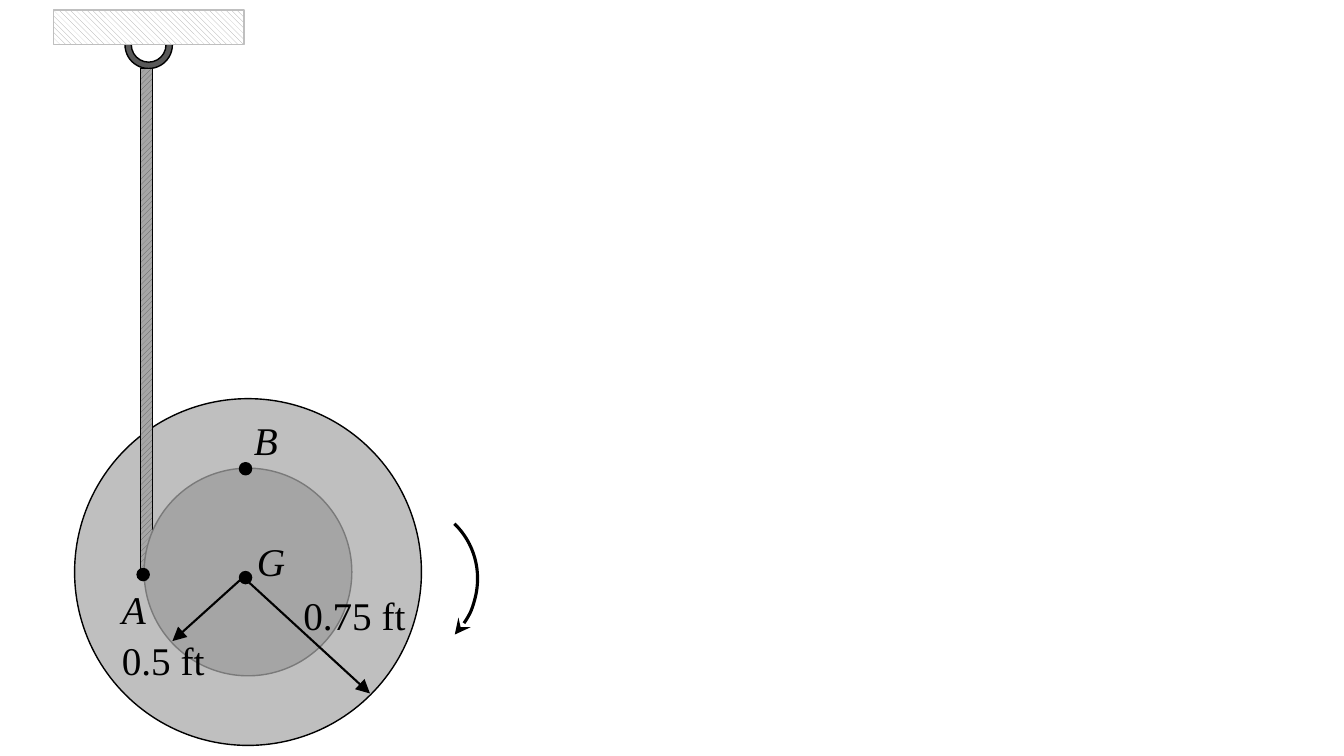
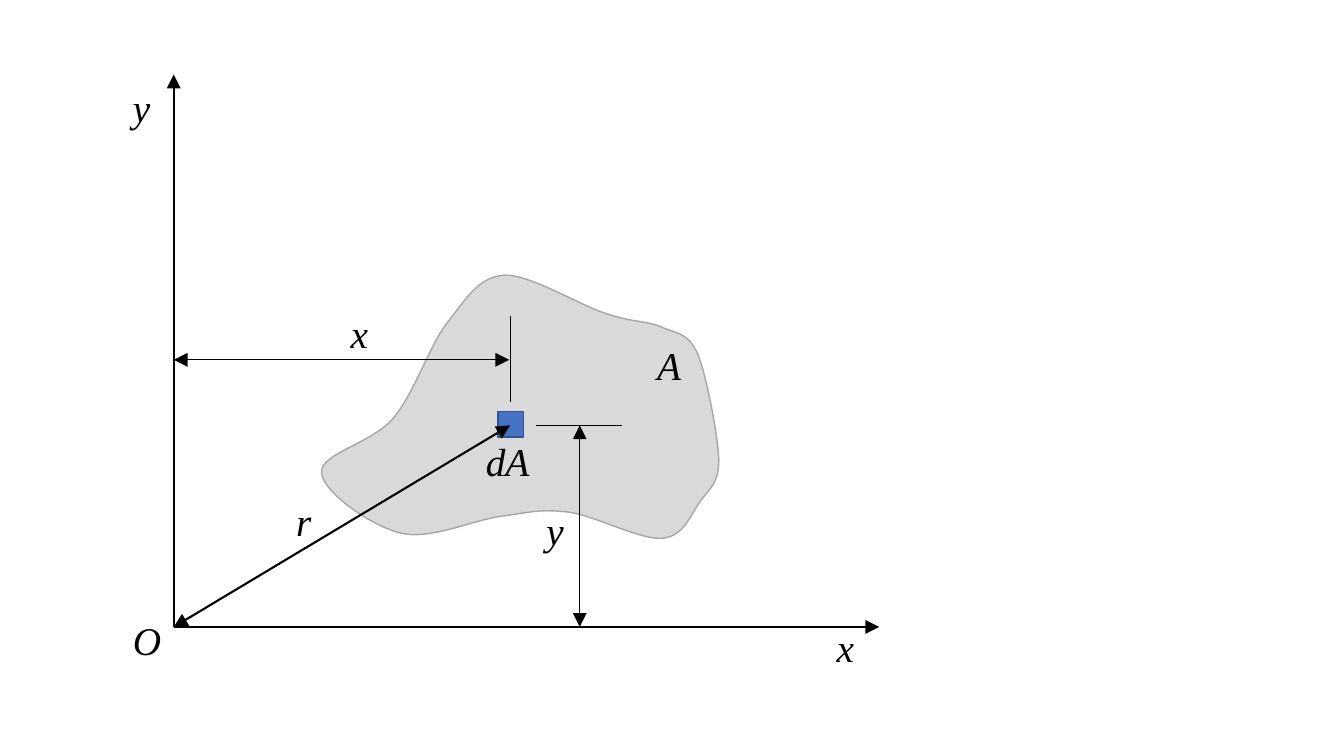
import dataclasses

import pptx
import pptx.dml.color
import pptx.enum.dml
import pptx.enum.shapes
import pptx.oxml.ns
import pptx.oxml.xmlchemy
import pptx.util

KIND = pptx.enum.shapes.MSO_SHAPE
HATCH = pptx.enum.dml.MSO_PATTERN


@dataclasses.dataclass(frozen=True)
class Theme:
    font: str = "Times New Roman"
    size: float = 28
    ink: str = "000000"
    paper: str = "FFFFFF"
    wheel: str = "BFBFBF"
    hub: str = "A5A5A5"
    rim: str = "7A7A7A"
    iron: str = "595959"
    rope: str = "A6A6A6"
    area: str = "D9D9D9"
    patch: str = "4472C4"
    edge: str = "325491"
    hair: float = 0.5
    thin: float = 1
    bold: float = 1.5
    heavy: float = 2.25


T = Theme()


# Grid: square cells, ten to the inch
def cell(count):
    return pptx.util.Inches(count / 10)


def tint(code):
    return pptx.dml.color.RGBColor.from_string(code)


# Lines
def stroke(shape, color, width, head=None, tail=None):
    shape.line.color.rgb = tint(color)
    shape.line.width = pptx.util.Pt(width)
    line = shape.element.spPr.find(pptx.oxml.ns.qn("a:ln"))
    for tag, kind in (("a:headEnd", head), ("a:tailEnd", tail)):
        if kind:
            end = pptx.oxml.xmlchemy.OxmlElement(tag)
            for key, value in (("type", kind), ("w", "lg"), ("len", "lg")):
                end.set(key, value)
            line.append(end)


def link(shapes, start, stop, width, head=None, tail=None):
    line = shapes.add_connector(
        pptx.enum.shapes.MSO_CONNECTOR.STRAIGHT,
        *(cell(n) for n in (*start, *stop)))
    stroke(line, T.ink, width, head, tail)
    line.element.spPr.append(pptx.oxml.xmlchemy.OxmlElement("a:effectLst"))


def arrow(shapes, start, stop, width=T.bold):
    link(shapes, start, stop, width, tail="triangle")


def span(shapes, start, stop, width=T.hair):
    link(shapes, start, stop, width, "triangle", "triangle")


# Filled shapes
def paint(shape, fill, edge):
    shape.shadow.inherit = False
    if fill:
        shape.fill.solid()
        shape.fill.fore_color.rgb = tint(fill)
    else:
        shape.fill.background()
    stroke(shape, edge, T.thin)


def block(shapes, kind, box, fill, edge=T.ink):
    shape = shapes.add_shape(kind, *(cell(n) for n in box))
    paint(shape, fill, edge)
    return shape


def round_box(mid, radius):
    return mid[0] - radius, mid[1] - radius, 2 * radius, 2 * radius


def disc(shapes, mid, radius, fill, edge=T.ink):
    return block(shapes, KIND.OVAL, round_box(mid, radius), fill, edge)


def hatch(shapes, box, kind, fore, back, edge):
    shape = block(shapes, KIND.RECTANGLE, box, back, edge)
    shape.fill.patterned()
    shape.fill.pattern = kind
    shape.fill.fore_color.rgb = tint(fore)
    shape.fill.back_color.rgb = tint(back)


def blob(shapes, start, curves, fill, edge):
    """Closed outline of cubic curves, each (control, control, end)."""
    dots = [(cell(x), cell(y)) for curve in curves for x, y in curve]
    pen = shapes.build_freeform(cell(start[0]), cell(start[1]))
    pen.add_line_segments(dots, close=True)
    shape = pen.convert_to_shape()
    # Every three straight steps become one cubic curve
    name = pptx.oxml.ns.qn
    steps = list(shape.element.spPr.iter(name("a:lnTo")))
    for first in range(0, len(steps), 3):
        bend = pptx.oxml.xmlchemy.OxmlElement("a:cubicBezTo")
        steps[first].addprevious(bend)
        for step in steps[first:first + 3]:
            bend.append(step.find(name("a:pt")))
            step.getparent().remove(step)
    paint(shape, fill, edge)


# Text
def label(shapes, text, left, top, width=5, italic=True):
    box = shapes.add_textbox(cell(left), cell(top), cell(width), cell(4.8))
    box.text_frame.word_wrap = True
    run = box.text_frame.paragraphs[0].add_run()
    run.text = text
    run.font.name = T.font
    run.font.size = pptx.util.Pt(T.size)
    run.font.italic = italic
    run.font.color.rgb = tint(T.ink)


def point(shapes, name, mid, left, top):
    group = shapes.add_group_shape().shapes
    label(group, name, left, top)
    disc(group, mid, 0.6, T.ink)


# Slide 1: spool hanging from a rope
def spool(shapes):
    mid = (24.6, 56.75)
    disc(shapes, mid, 17.2, T.wheel)

    # Support and rope
    ring = block(shapes, KIND.DONUT, round_box((14.75, 4.45), 2.35), T.iron)
    ring.adjustments[0] = 0.134
    hatch(shapes, (5.3, 1, 18.9, 3.4), HATCH.WIDE_DOWNWARD_DIAGONAL,
          T.hub, T.paper, T.wheel)
    hatch(shapes, (13.95, 6.8, 1.2, 49.7), HATCH.WIDE_UPWARD_DIAGONAL,
          T.iron, T.rope, T.ink)

    # Hub and marked points
    disc(shapes, mid, 10.3, T.hub, T.rim)
    for name, spot, left, top in (("A", (14.2, 57), 11.1, 57.6),
                                  ("G", (24.35, 57.3), 24.5, 52.8),
                                  ("B", (24.35, 46.5), 24.2, 40.8)):
        point(shapes, name, spot, left, top)

    # Sense of rotation
    turn = block(shapes, KIND.ARC, (31.7, 50, 15.8, 15.3), None)
    turn.rotation = 133.9
    turn.element.spPr.find(pptx.oxml.ns.qn("a:xfrm")).set("flipH", "1")
    stroke(turn, T.ink, T.heavy, head="stealth")

    # Radii
    label(shapes, "0.5 ft", 11.1, 62.6, 11.5, italic=False)
    arrow(shapes, (24.2, 57.2), (17.1, 63.6))
    arrow(shapes, (24.5, 57.6), (36.7, 68.8))
    label(shapes, "0.75 ft", 29.1, 58.2, 13.6, italic=False)


# Slide 2: area element in x-y axes
def region(shapes):
    zero = x0, y0 = 17.23, 62.2
    spot = x1, y1 = 50.6, 42.2
    blob(shapes, (60.1, 31.1), (
        ((57.5, 30.3), (52.6, 27.2), (50, 27.3)),
        ((47.4, 27.5), (46.2, 29.7), (44.3, 32.1)),
        ((42.5, 34.5), (41.1, 39), (39, 41.5)),
        ((36.9, 44), (31.7, 45), (31.9, 46.9)),
        ((32, 48.8), (36.8, 52.2), (39.8, 52.9)),
        ((42.8, 53.6), (47.1, 51.5), (49.9, 51.2)),
        ((52.6, 50.8), (53.7, 50.5), (56.3, 50.8)),
        ((58.9, 51.1), (63.5, 53.6), (65.7, 53.4)),
        ((67.9, 53.2), (68.5, 51), (69.5, 49.7)),
        ((70.4, 48.4), (71.3, 48), (71.3, 45.6)),
        ((71.2, 43.2), (70.1, 37.3), (69.2, 35.1)),
        ((68.2, 32.9), (67, 33.1), (65.5, 32.4)),
        ((64, 31.8), (62.7, 32), (60.1, 31.1)),
    ), T.area, T.rope)

    # Axes and names
    arrow(shapes, zero, (x0, 7.4))
    arrow(shapes, zero, (87.2, y0))
    for name, left, top in (("A", 64.2, 33.4), ("x", 82, 61.3),
                            ("y", 12.2, 7.8), ("r", 28.4, 48.8),
                            ("O", 12.2, 60.6)):
        label(shapes, name, left, top)
    label(shapes, "dA", 47.2, 42.9, 8)

    # Element and its distance from O
    block(shapes, KIND.RECTANGLE, round_box((50.65, 42.1), 1.27),
          T.patch, T.edge)
    span(shapes, zero, spot, T.bold)

    # Height of the element
    rise = shapes.add_group_shape().shapes
    span(rise, (57.5, y0), (57.5, y1))
    link(rise, (53.2, y1), (61.7, y1), T.hair)

    # Offset of the element
    run = shapes.add_group_shape().shapes
    span(run, (x0, 35.7), (50.5, 35.7))
    link(run, (x1, 31.4), (x1, 39.9), T.hair)

    label(shapes, "x", 33.8, 30.2, 6.4)
    label(shapes, "y", 53.2, 49.7, 6.4)


def main():
    deck = pptx.Presentation()
    deck.slide_width = pptx.util.Inches(13.33)
    deck.slide_height = pptx.util.Inches(7.5)
    blank = deck.slide_layouts[6]
    for draw in (spool, region):
        draw(deck.slides.add_slide(blank).shapes)
    deck.save("out.pptx")


if __name__ == "__main__":
    main()
